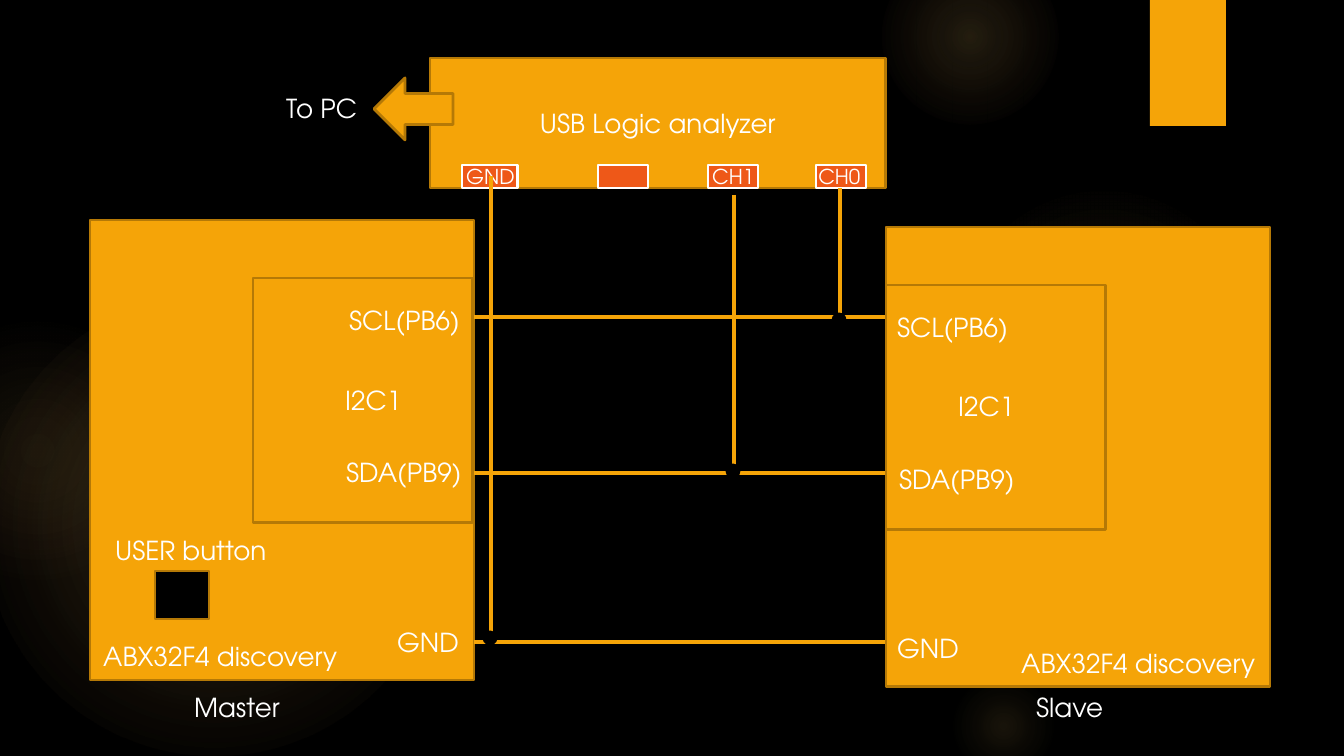
from lxml import etree
from pptx import Presentation, util as u
from pptx.dml.color import RGBColor
from pptx.enum import shapes as sh, text as tx
from pptx.oxml import ns, parse_xml

PX = 914400 / 134.4
ORANGE = RGBColor(0xF5, 0xA4, 0x08)
BROWN = RGBColor(0xB5, 0x79, 0x06)
RED = RGBColor(0xEE, 0x58, 0x18)
BLACK = RGBColor(0, 0, 0)
WHITE = RGBColor(255, 255, 255)
GOLD = RGBColor(0xFA, 0xC9, 0x6A)
PEACH = RGBColor(0xF5, 0x9B, 0x74)
KIND = sh.MSO_SHAPE
FONT = "TeX Gyre Adventor"

prs = Presentation()
prs.slide_width, prs.slide_height = round(1344 * PX), round(756 * PX)
slide = prs.slides.add_slide(prs.slide_layouts[6])
slide.background.fill.solid()
slide.background.fill.fore_color.rgb = BLACK


def block(kind, box, fill=ORANGE, edge=BROWN):
    """Add a filled shape; an edge of None means no outline."""
    shape = slide.shapes.add_shape(kind, *(round(n * PX) for n in box))
    shape.shadow.inherit = False
    shape.fill.solid()
    shape.fill.fore_color.rgb = fill
    if edge is None:
        shape.line.fill.background()
    else:
        shape.line.color.rgb = edge
        shape.line.width = u.Pt(1.5)
    return shape


def write(frame, words, size=14):
    para = frame.paragraphs[0]
    run = para.add_run()
    run.text = words
    for key, val in {"name": FONT, "size": u.Pt(size)}.items():
        setattr(run.font, key, val)
    run.font.color.rgb = WHITE
    return para


# Soft glows: left, top, size, then stops as (position %, colour, opacity %)
glows = [
    (-17, 294, 462, [(0, GOLD, 11), (36, GOLD, 10), (75, GOLD, 0)]),
    (-93, 320, 261, [(0, GOLD, 8), (36, GOLD, 5), (71, PEACH, 0)]),
    (949, 185, 310, [(0, GOLD, 7), (36, GOLD, 6), (69, GOLD, 0)]),
    (882, -51, 176, [(0, GOLD, 14), (36, GOLD, 7), (73, GOLD, 0)]),
    (949, 672, 109, [(0, GOLD, 10), (31, GOLD, 5), (66, GOLD, 0)]),
]
for x, y, size, stops in glows:
    glow = block(KIND.OVAL, (x, y, size, size), edge=None)
    marks = "".join(
        f'<a:gs pos="{pos * 1000}"><a:srgbClr val="{tone}">'
        f'<a:alpha val="{alpha * 1000}"/></a:srgbClr></a:gs>'
        for pos, tone, alpha in stops)
    grad = parse_xml(
        f'<a:gradFill {ns.nsdecls("a")}><a:gsLst>{marks}</a:gsLst>'
        '<a:path path="circle"><a:fillToRect l="50000" t="50000" '
        'r="50000" b="50000"/></a:path></a:gradFill>')
    props = glow.element.spPr
    props.replace(props.find(ns.qn("a:solidFill")), grad)

block(KIND.RECTANGLE, (1150, 0, 76, 126), edge=None)

# Boards, each with its bus block
for x, y, chip in [(90, 220, 253), (886, 227, 886)]:
    block(KIND.RECTANGLE, (x, y, 384, 460))
    block(KIND.RECTANGLE, (chip, y + 58, 220, 245))
block(KIND.RECTANGLE, (155, 571, 54, 48), BLACK)

# Analyzer with its ports
meter = block(KIND.RECTANGLE, (430, 58, 456, 130))
meter.text_frame.vertical_anchor = tx.MSO_ANCHOR.MIDDLE
write(meter.text_frame, "USB Logic analyzer").alignment = tx.PP_ALIGN.CENTER
for x, wide in [(462, 56), (598, 50), (708, 50), (816, 50)]:
    block(KIND.RECTANGLE, (x, 165, wide, 23), RED, WHITE)
block(KIND.LEFT_ARROW, (374, 78, 79, 62))

# Labels: words, left, top, width, point size
labels = [
    ("I2C1", 332, 378, 83, 14), ("I2C1", 945, 384, 83, 14),
    ("SCL(PB6)", 336, 298, 138, 14), ("SCL(PB6)", 884, 305, 138, 14),
    ("SDA(PB9)", 333, 450, 144, 14), ("SDA(PB9)", 886, 457, 144, 14),
    ("GND", 384, 620, 89, 14), ("GND", 884, 626, 89, 14),
    ("ABX32F4 discovery", 90, 634, 261, 14),
    ("ABX32F4 discovery", 1008, 641, 261, 14),
    ("USER button", 102, 528, 180, 14), ("To PC", 273, 86, 99, 14),
    ("Master", 181, 685, 114, 14), ("Slave", 1023, 685, 95, 14),
    ("CH0", 805, 157, 70, 11), ("CH1", 699, 157, 70, 11),
    ("GND", 453, 157, 75, 11),
]
for words, x, y, wide, size in labels:
    high = 46 if size == 14 else 39
    label = slide.shapes.add_textbox(*(round(n * PX) for n in (x, y, wide, high)))
    label.text_frame.word_wrap = False
    label.text_frame.auto_size = tx.MSO_AUTO_SIZE.SHAPE_TO_FIT_TEXT
    write(label.text_frame, words, size)

# Bus wires across, then probe wires down
wires = [(474, y, 885, y) for y in (317, 473, 642)]
wires += [(840, 188, 840, 321), (734, 195, 734, 473), (491, 176, 491, 641)]
for ends in wires:
    wire = slide.shapes.add_connector(
        sh.MSO_CONNECTOR.STRAIGHT, *(round(n * PX) for n in ends))
    wire.line.color.rgb = ORANGE
    wire.line.width = u.Pt(2)
    etree.SubElement(wire.element.spPr, ns.qn("a:effectLst"))

for x, y in [(833, 314), (484, 632), (727, 465)]:
    block(KIND.OVAL, (x, y, 12, 12), BLACK, BLACK)

prs.save("out.pptx")
